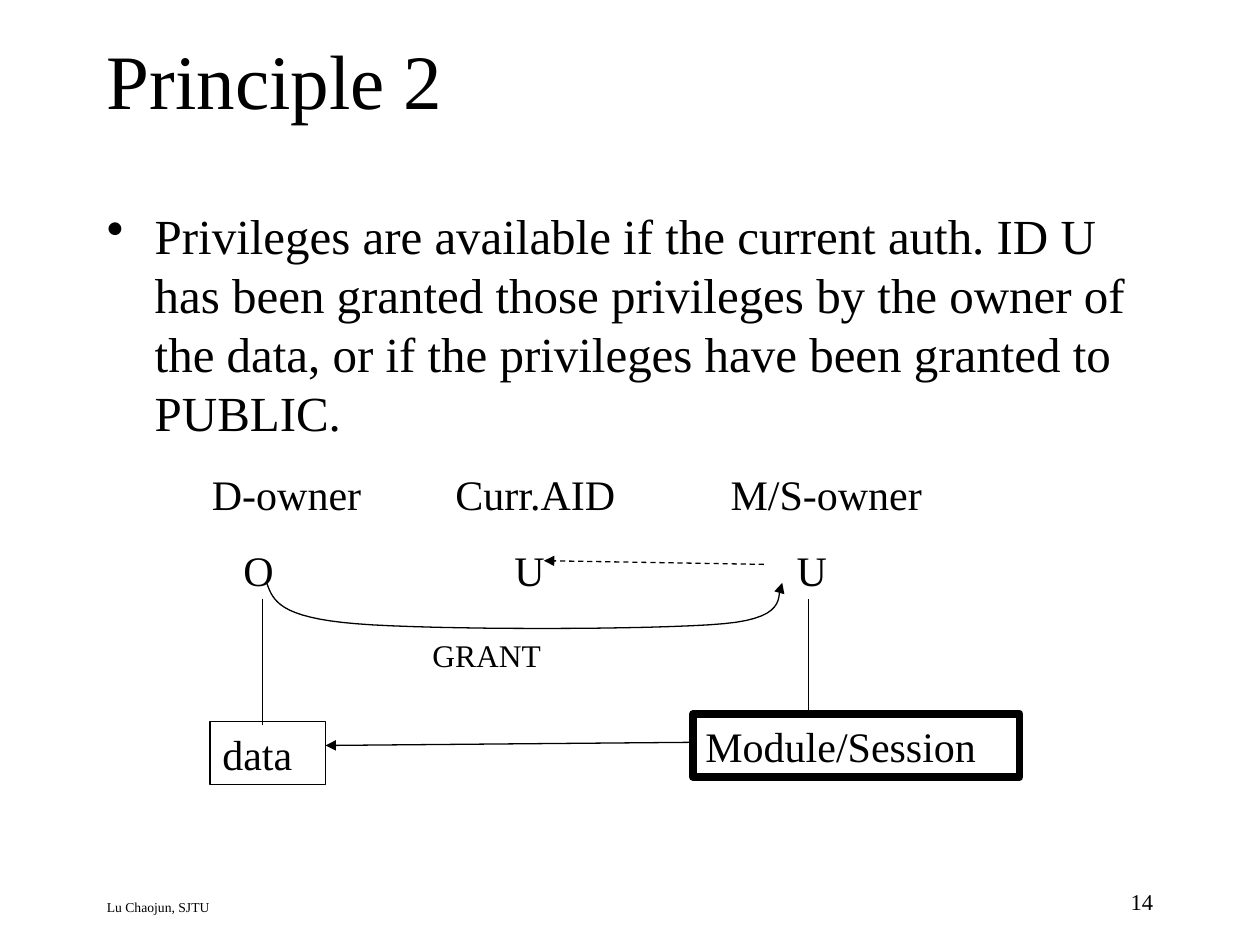
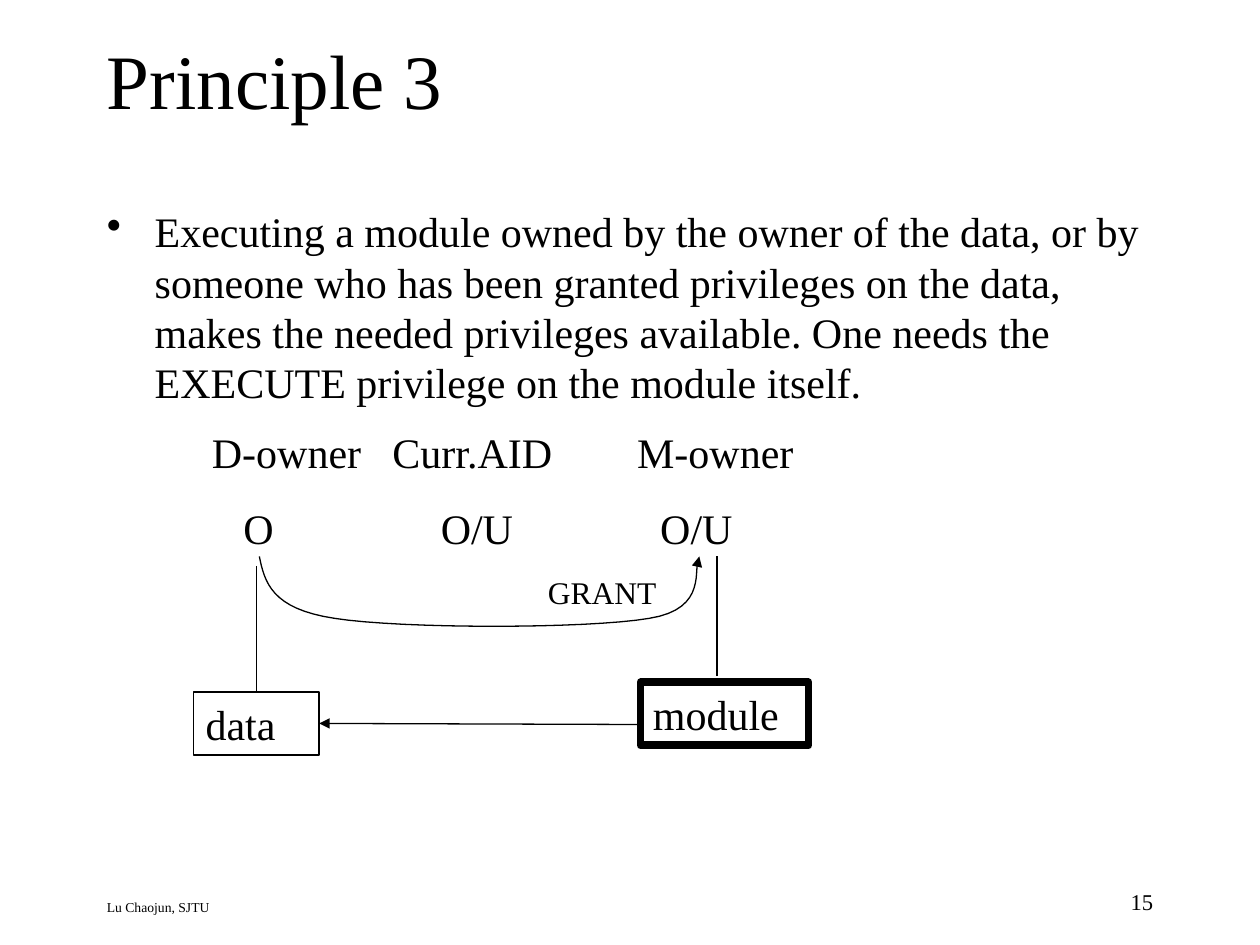
from lxml import etree
from pptx import Presentation
from pptx.dml.color import RGBColor
from pptx.enum.dml import MSO_LINE
from pptx.enum.shapes import MSO_CONNECTOR, MSO_SHAPE
from pptx.enum.text import MSO_ANCHOR, PP_ALIGN
from pptx.oxml.ns import qn
from pptx.util import Inches, Pt

BLACK = RGBColor(0, 0, 0)
WHITE = RGBColor(255, 255, 255)
FONT = "Times New Roman"
CELL = Inches(1) / 12
COLUMNS, ROWS = 120, 90
MARGIN, CONTENT_WIDTH = 9, 102
THIN, THICK = 0.75, 4.5
CURVE_STEPS = 16
LEFT, RIGHT = PP_ALIGN.LEFT, PP_ALIGN.RIGHT
TOP, MIDDLE = MSO_ANCHOR.TOP, MSO_ANCHOR.MIDDLE
STRAIGHT, RECTANGLE, DASH = MSO_CONNECTOR.STRAIGHT, MSO_SHAPE.RECTANGLE, MSO_LINE.DASH


def cells(*counts):
    """Convert counts of grid cells to lengths."""
    return [round(count * CELL) for count in counts]


def style_paragraph(para, size, align=LEFT):
    """Apply the shared text style to a paragraph."""
    para.alignment = align
    for span in para.runs:
        span.font.name = FONT
        span.font.size = Pt(size)
        span.font.color.rgb = BLACK


def add_text(page, area, text, size, align=LEFT, anchor=TOP):
    """Add a wrapping text box and return its first paragraph."""
    frame = page.shapes.add_textbox(*cells(*area)).text_frame
    frame.word_wrap = True
    frame.vertical_anchor = anchor
    frame.text = text
    for para in frame.paragraphs:
        style_paragraph(para, size, align)
    return frame.paragraphs[0]


def add_bullet(page, height, text, size):
    """Add the bulleted statement below the title."""
    para = add_text(page, (MARGIN, 19, CONTENT_WIDTH, height), text, size)
    properties = para._p.get_or_add_pPr()
    indent = Inches(0.38)
    properties.set("marL", str(indent))
    properties.set("indent", str(-indent))
    etree.SubElement(properties, qn("a:buChar")).set("char", "•")


def add_owner_rows(page, top, rows):
    """Add tabbed rows, each a list of (column offset, label) pairs."""
    text = "\n".join("".join(f"\t{label}" if offset else label for offset, label in row) for row in rows)
    box = page.shapes.add_textbox(*cells(19, top, 90, 13.3))
    frame = box.text_frame
    frame.word_wrap = True
    frame.text = text
    for index, (para, row) in enumerate(zip(frame.paragraphs, rows)):
        tabs = etree.SubElement(para._p.get_or_add_pPr(), qn("a:tabLst"))
        for offset, _ in row:
            if offset:
                tab = etree.SubElement(tabs, qn("a:tab"))
                tab.set("pos", str(round(offset * CELL)))
                tab.set("algn", "l")
        style_paragraph(para, 24)
        if index:
            para.space_before = Pt(15)


def style_line(line, width=THIN, arrow=False):
    """Make a black line, with an arrowhead at its end if asked."""
    line.color.rgb = BLACK
    line.width = Pt(width)
    if arrow:
        etree.SubElement(line._get_or_add_ln(), qn("a:tailEnd")).set("type", "triangle")


def add_line(page, start, end, arrow=False, dash=None):
    """Add a straight line between two grid points."""
    connector = page.shapes.add_connector(STRAIGHT, *cells(*start, *end))
    if dash:
        connector.line.dash_style = dash
    style_line(connector.line, arrow=arrow)
    etree.SubElement(connector._element.spPr, qn("a:effectLst"))


def add_box(page, area, text, width=THIN):
    """Add an outlined box with a label."""
    box = page.shapes.add_shape(RECTANGLE, *cells(*area))
    box.shadow.inherit = False
    box.fill.background()
    style_line(box.line, width)
    frame = box.text_frame
    frame.vertical_anchor = TOP
    frame.text = text
    style_paragraph(frame.paragraphs[0], 24)


def bezier_point(corners, share):
    """Return the point at a share of a cubic curve."""
    rest = 1 - share
    weights = (rest ** 3, 3 * rest ** 2 * share, 3 * rest * share ** 2, share ** 3)
    return tuple(sum(weight * corner[axis] for weight, corner in zip(weights, corners))
                 for axis in (0, 1))


def add_grant_curve(page, points):
    """Add an arrow along cubic curves that share their end points."""
    path_points = [
        cells(*bezier_point(points[first:first + 4], step / CURVE_STEPS))
        for first in range(0, len(points) - 1, 3)
        for step in range(1, CURVE_STEPS + 1)
    ]
    builder = page.shapes.build_freeform(*cells(*points[0]))
    builder.add_line_segments(path_points, close=False)
    curve = builder.convert_to_shape()
    curve.shadow.inherit = False
    curve.fill.background()
    style_line(curve.line, arrow=True)


def add_page(deck, number, title):
    """Add a page with its background, title and footer."""
    page = deck.slides.add_slide(deck.slide_layouts[6])
    page.background.fill.solid()
    page.background.fill.fore_color.rgb = WHITE
    add_text(page, (MARGIN, 85, 69.6, 3), "Lu Chaojun, SJTU", 7.8)
    add_text(page, (86, 84, 25, 4), str(number), 12.9, align=RIGHT)
    add_text(page, (MARGIN, 0, CONTENT_WIDTH, 15), title, 44, anchor=MIDDLE)
    return page


def add_granted_privileges(deck):
    """Add the page on privileges granted to the current user."""
    page = add_page(deck, 14, "Principle 2")
    add_bullet(page, 24, "Privileges are available if the current auth. ID U has been granted "
               "those privileges by the owner of the data, or if the privileges have been "
               "granted to PUBLIC.", 28)
    add_owner_rows(page, 44, [
        [(0, "D-owner"), (23.2, "Curr.AID"), (49.4, "M/S-owner")],
        [(3, "O"), (28.8, "U"), (55.7, "U")],
    ])
    add_box(page, (20, 68.75, 11, 6), "data")
    add_box(page, (66, 68, 31.1, 6), "Module/Session", THICK)
    add_line(page, (25, 57), (25, 69))
    add_line(page, (77, 68), (77, 57))
    add_line(page, (66, 70.7), (31, 71), arrow=True)
    add_line(page, (72.75, 53.75), (51.8, 53.4), arrow=True, dash=DASH)
    add_text(page, (40, 60, 14, 4.8), "GRANT", 18)
    add_grant_curve(page, [
        (25.4, 55.5), (26, 57.2), (26.6, 58.8), (33.9, 59.4), (41.2, 60),
        (62.2, 60), (68.9, 59.4), (75.7, 58.8), (73.7, 56.3), (74.5, 55.5),
    ])


def add_module_execution(deck):
    """Add the page on executing a module of a privileged owner."""
    page = add_page(deck, 15, "Principle 3")
    add_bullet(page, 27, "Executing a module owned by the owner of the data, or by someone who "
               "has been granted privileges on the data, makes the needed privileges available. "
               "One needs the EXECUTE privilege on the module itself.", 24)
    add_owner_rows(page, 40, [
        [(0, "D-owner"), (17.2, "Curr.AID"), (40.5, "M-owner")],
        [(3, "O"), (21.8, "O/U"), (42.7, "O/U")],
    ])
    add_box(page, (18.4, 65.9, 12, 6), "data")
    add_box(page, (61, 65, 16, 6), "module", THICK)
    add_line(page, (24.4, 53.9), (24.4, 65.9))
    add_line(page, (68.3, 64.4), (68.3, 53))
    add_line(page, (61, 69), (30.4, 68.9), arrow=True)
    add_text(page, (51, 54, 14, 4.8), "GRANT", 18)
    add_grant_curve(page, [
        (24.7, 53), (25.2, 55.4), (25.8, 58), (31.9, 58.9), (38.2, 59.9),
        (56, 59.9), (61.8, 58.9), (67.6, 58), (65.9, 54), (66.6, 53),
    ])


def main():
    """Build and save the deck."""
    deck = Presentation()
    deck.slide_width, deck.slide_height = cells(COLUMNS, ROWS)
    add_granted_privileges(deck)
    add_module_execution(deck)
    deck.save("out.pptx")


if __name__ == "__main__":
    main()
